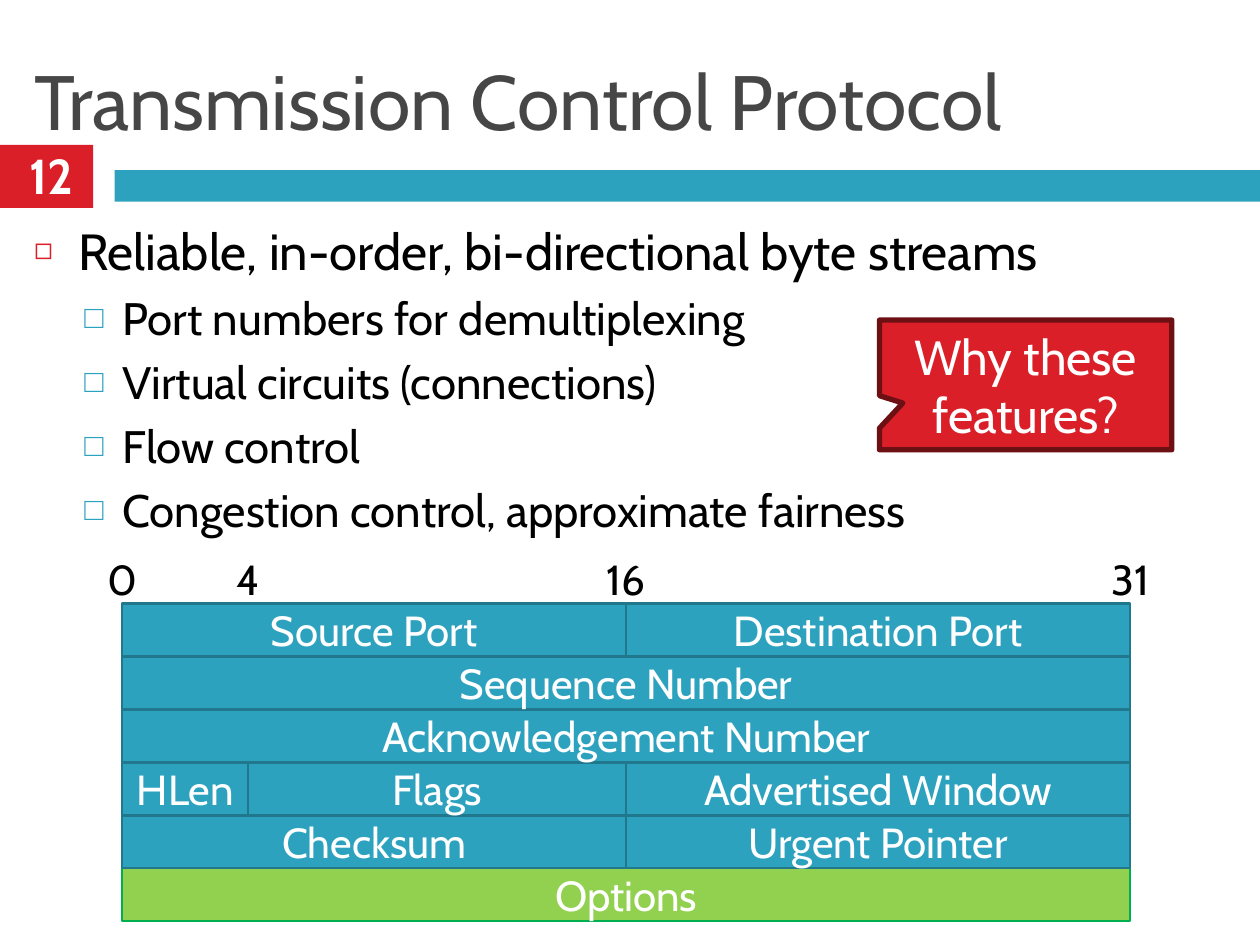
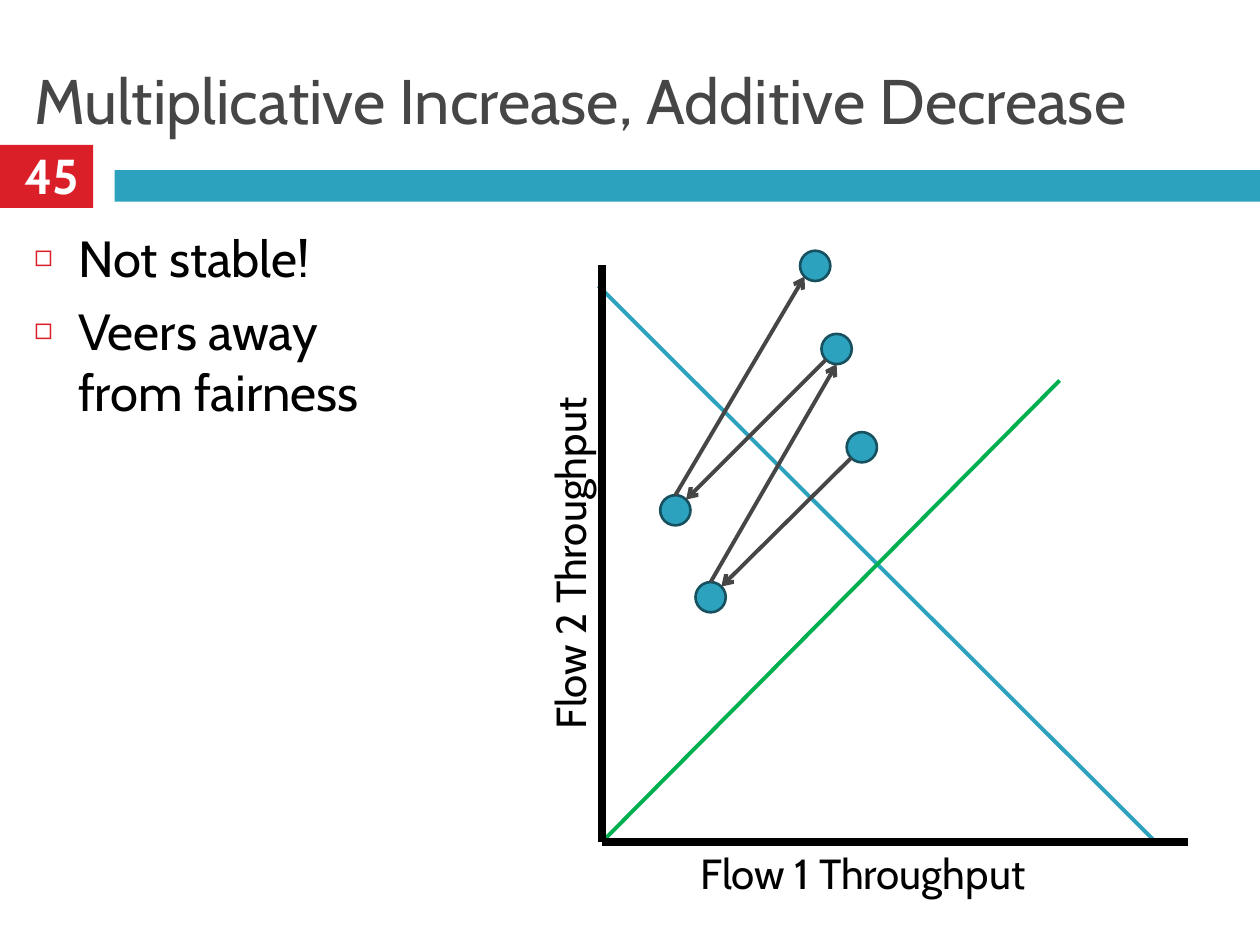
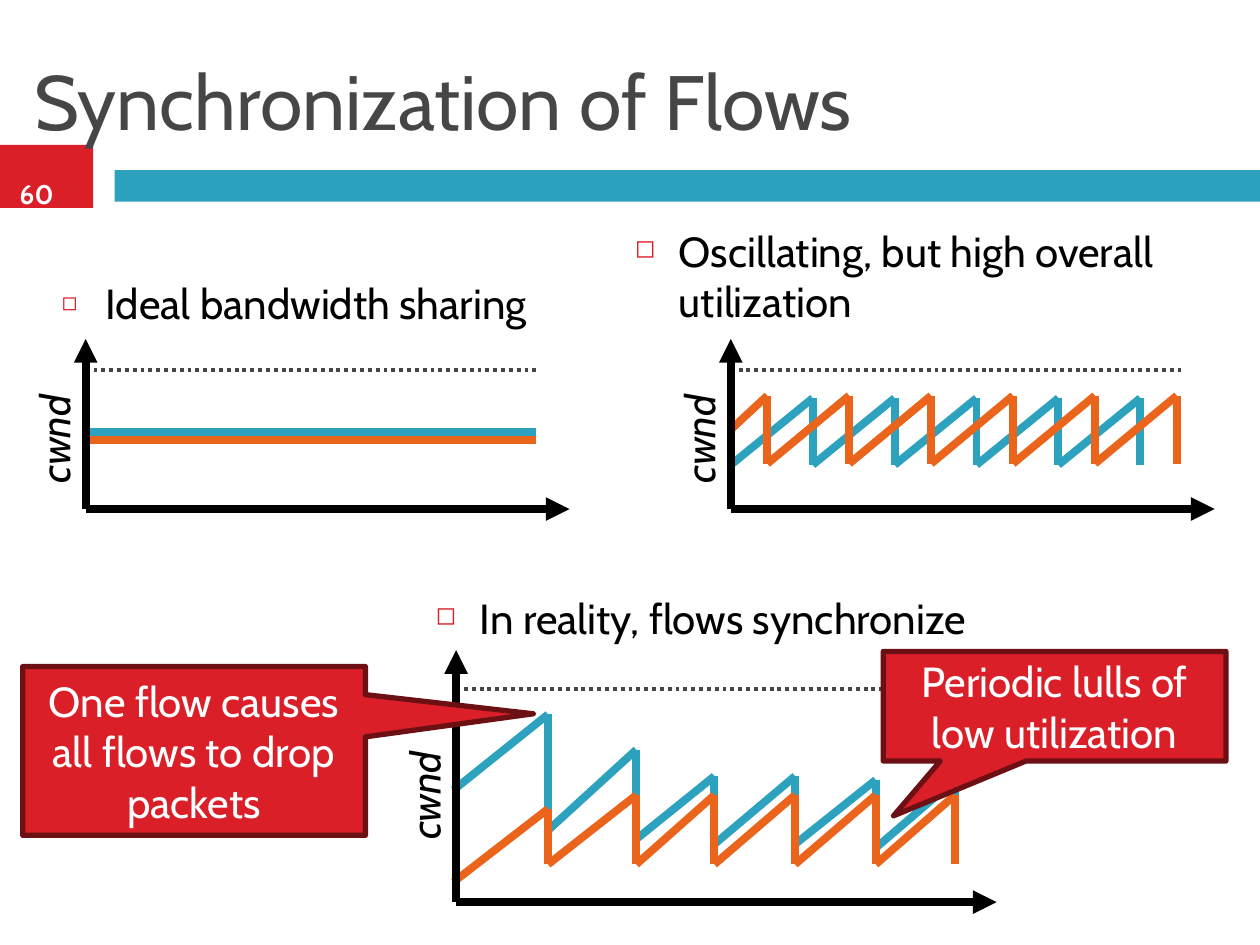
from dataclasses import dataclass
from itertools import pairwise
from math import cos, radians, sin
from typing import Any, NamedTuple

from lxml import etree
from pptx import Presentation
from pptx import util as u
from pptx.dml.color import RGBColor
from pptx.enum import dml, shapes, text
from pptx.oxml.ns import qn


@dataclass(frozen=True)
class Theme:
    font: str = "Cabin"
    black: RGBColor = RGBColor(0x00, 0x00, 0x00)
    white: RGBColor = RGBColor(0xFF, 0xFF, 0xFF)
    gray: RGBColor = RGBColor(0x46, 0x46, 0x46)
    red: RGBColor = RGBColor(0xDA, 0x1F, 0x28)
    dark_red: RGBColor = RGBColor(0x6D, 0x10, 0x14)
    blue: RGBColor = RGBColor(0x2D, 0xA2, 0xBF)
    field_edge: RGBColor = RGBColor(0x21, 0x78, 0x8D)
    dot_edge: RGBColor = RGBColor(0x17, 0x51, 0x60)
    lime: RGBColor = RGBColor(0x92, 0xD0, 0x50)
    green: RGBColor = RGBColor(0x00, 0xB0, 0x50)
    orange: RGBColor = RGBColor(0xEB, 0x64, 0x1B)
    title: float = 44
    long_title: float = 36
    number: float = 28
    small_number: float = 15.4
    bullet: float = 29
    sub_bullet: float = 26
    label: float = 24
    thin: float = 1.5
    medium: float = 2.25
    callout_edge: float = 3
    thick: float = 4.5


THEME = Theme()
CENTER = text.PP_ALIGN.CENTER
LEFT = text.PP_ALIGN.LEFT
MIDDLE = text.MSO_ANCHOR.MIDDLE
TOP = text.MSO_ANCHOR.TOP


class Point(NamedTuple):
    x: float
    y: float


class Box(NamedTuple):
    left: float
    top: float
    width: float
    height: float

    def lengths(self) -> list[u.Length]:
        return [u.Inches(side) for side in self]


class BulletLevel(NamedTuple):
    glyph: str
    color: RGBColor
    percent: int
    margin: float
    hanging: float
    space_before: float


class HeaderField(NamedTuple):
    name: str
    row: int
    first_bit: int
    end_bit: int
    fill: RGBColor = THEME.blue
    edge: RGBColor = THEME.field_edge


class Callout(NamedTuple):
    words: str
    box: Box
    tip: Point
    size: float = THEME.label


class Plot(NamedTuple):
    """A cwnd graph: its axes, its dotted capacity line and its label height."""
    origin: Point
    top: float
    right: float
    limit: float
    limit_right: float
    label_y: float


BULLETS = [BulletLevel("◻", THEME.red, 60, 0.35, 0.35, 7),
           BulletLevel("□", THEME.blue, 70, 0.7, 0.3, 5.5)]
TITLE_BOX = Box(0.17, 0.25, 9.67, 1.08)
NUMBER_BOX = Box(0, 1.07, 0.82, 0.64)


def assign(target: Any, **values: Any) -> None:
    for name, value in values.items():
        setattr(target, name, value)


def place(shape: Any, box: Box) -> None:
    assign(shape, **dict(zip(Box._fields, box.lengths())))


def write(paragraph: Any, words: str, size: float, color: RGBColor = THEME.black,
          align: Any = LEFT, **font: Any) -> None:
    paragraph.alignment = align
    run = paragraph.add_run()
    run.text = words
    assign(run.font, name=THEME.font, size=u.Pt(size), **font)
    run.font.color.rgb = color


def add_text(slide: Any, box: Box, words: str, size: float, wrap: bool = True,
             anchor: Any = TOP, rotation: float = 0, **style: Any) -> None:
    label = slide.shapes.add_textbox(*box.lengths())
    label.rotation = rotation
    assign(label.text_frame, word_wrap=wrap, vertical_anchor=anchor)
    write(label.text_frame.paragraphs[0], words, size, **style)


def write_bullets(shape: Any, items: list[tuple[int, str]], sizes: tuple[float, ...]) -> None:
    frame = shape.text_frame
    assign(frame, word_wrap=True, auto_size=text.MSO_AUTO_SIZE.NONE, vertical_anchor=TOP)
    for index, (level, words) in enumerate(items):
        paragraph = frame.add_paragraph() if index else frame.paragraphs[0]
        look = BULLETS[level]
        assign(paragraph, level=level, space_before=u.Pt(look.space_before))
        write(paragraph, words, sizes[level])
        props = paragraph._p.get_or_add_pPr()
        props.set("marL", str(u.Inches(look.margin)))
        props.set("indent", str(-u.Inches(look.hanging)))
        color = etree.SubElement(props, qn("a:buClr"))
        etree.SubElement(color, qn("a:srgbClr"), val=str(look.color))
        etree.SubElement(props, qn("a:buSzPct"), val=str(look.percent * 1000))
        etree.SubElement(props, qn("a:buChar"), char=look.glyph)


def add_block(slide: Any, kind: Any, box: Box, fill: RGBColor,
              edge: RGBColor | None = None, weight: float = THEME.thin) -> Any:
    block = slide.shapes.add_shape(kind, *box.lengths())
    block.shadow.inherit = False
    block.fill.solid()
    block.fill.fore_color.rgb = fill
    if edge is None:
        block.line.fill.background()
    else:
        block.line.color.rgb = edge
        block.line.width = u.Pt(weight)
    return block


def label_block(block: Any, words: str, size: float) -> None:
    assign(block.text_frame, word_wrap=True, vertical_anchor=MIDDLE)
    write(block.text_frame.paragraphs[0], words, size, THEME.white, CENTER)


def add_line(slide: Any, start: Point, end: Point, color: RGBColor, weight: float,
             arrow: str = "", dash: Any = None) -> None:
    ends = [u.Inches(length) for length in (*start, *end)]
    line = slide.shapes.add_connector(shapes.MSO_CONNECTOR.STRAIGHT, *ends)
    line.line.color.rgb = color
    assign(line.line, width=u.Pt(weight), dash_style=dash)
    if arrow:
        etree.SubElement(line.line._get_or_add_ln(), qn("a:tailEnd"), type=arrow)
    etree.SubElement(line._element.spPr, qn("a:effectLst"))


def add_callout(slide: Any, callout: Callout) -> None:
    block = add_block(slide, shapes.MSO_SHAPE.RECTANGULAR_CALLOUT, callout.box,
                      THEME.red, THEME.dark_red, THEME.callout_edge)
    block.adjustments[0], block.adjustments[1] = callout.tip
    label_block(block, callout.words, callout.size)


def add_bands(layout: Any, slide: Any) -> None:
    """Draw the red and blue bands and move them behind everything in the layout."""
    for box, color in ((Box(0, 1.15, 0.74, 0.5), THEME.red),
                       (Box(0.91, 1.35, 9.09, 0.25), THEME.blue)):
        band = add_block(slide, shapes.MSO_SHAPE.RECTANGLE, box, color)
        layout.shapes.element.insert(2, band.element)


def start_slide(deck: Any, title: str, number: str, body_box: Box,
                items: list[tuple[int, str]], title_size: float = THEME.title,
                number_box: Box = NUMBER_BOX, number_size: float = THEME.number,
                bullet_sizes: tuple[float, ...] = (THEME.bullet, THEME.sub_bullet)) -> Any:
    slide = deck.slides.add_slide(deck.slide_layouts[1])
    heading, body = slide.placeholders
    place(heading, TITLE_BOX)
    assign(heading.text_frame, vertical_anchor=MIDDLE, word_wrap=True,
           auto_size=text.MSO_AUTO_SIZE.NONE)
    write(heading.text_frame.paragraphs[0], title, title_size, THEME.gray)
    place(body, body_box)
    write_bullets(body, items, bullet_sizes)
    add_text(slide, number_box, number, number_size, anchor=MIDDLE,
             color=THEME.white, align=CENTER, bold=True)
    return slide


def build_header_slide(deck: Any) -> Any:
    slide = start_slide(
        deck, "Transmission Control Protocol", "12", Box(0.17, 1.69, 9.67, 2.73),
        [(0, "Reliable, in-order, bi-directional byte streams"),
         (1, "Port numbers for demultiplexing"),
         (1, "Virtual circuits (connections)"),
         (1, "Flow control"),
         (1, "Congestion control, approximate fairness")])
    left, top, bit_width, row_height = 0.97, 4.79, 0.25, 0.42
    fields = [
        HeaderField("Options", 5, 0, 32, THEME.lime, THEME.green),
        HeaderField("Checksum", 4, 0, 16),
        HeaderField("Urgent Pointer", 4, 16, 32),
        HeaderField("HLen", 3, 0, 4),
        HeaderField("Flags", 3, 4, 16),
        HeaderField("Advertised Window", 3, 16, 32),
        HeaderField("Acknowledgement Number", 2, 0, 32),
        HeaderField("Sequence Number", 1, 0, 32),
        HeaderField("Source Port", 0, 0, 16),
        HeaderField("Destination Port", 0, 16, 32),
    ]
    for field in fields:
        box = Box(left + field.first_bit * bit_width, top + field.row * row_height,
                  (field.end_bit - field.first_bit) * bit_width, row_height)
        block = add_block(slide, shapes.MSO_SHAPE.RECTANGLE, box, field.fill, field.edge)
        label_block(block, field.name, THEME.label)
    mark_width = 0.65
    for mark, edge_bit in (("0", 0), ("4", 4), ("16", 16), ("31", 32)):
        mark_left = left + edge_bit * bit_width - mark_width / 2
        add_text(slide, Box(mark_left, 4.26, mark_width, 0.66), mark, THEME.label,
                 anchor=MIDDLE, align=CENTER)
    add_callout(slide, Callout("Why these features?", Box(6.98, 2.54, 2.32, 1.03),
                               Point(-0.42, 0.14), THEME.number))
    return slide


def rim(center: Point, degrees: float, radius: float = 0.12) -> Point:
    """Point on a dot's edge, counted anticlockwise from the right."""
    angle = radians(degrees)
    return Point(center.x + radius * cos(angle), center.y - radius * sin(angle))


def build_fairness_slide(deck: Any) -> None:
    slide = start_slide(
        deck, "Multiplicative Increase, Additive Decrease", "45", Box(0.17, 1.75, 3.34, 5.58),
        [(0, "Not stable!"), (0, "Veers away from fairness")], title_size=THEME.long_title)
    for words, box, rotation in (("Flow 1 Throughput", Box(5.46, 6.68, 3, 0.5), 0),
                                 ("Flow 2 Throughput", Box(3.02, 4.14, 3, 0.5), 270)):
        add_text(slide, box, words, THEME.label, wrap=False, rotation=rotation)

    origin = Point(4.78, 6.68)
    add_line(slide, Point(4.75, 2.27), Point(9.17, 6.68), THEME.blue, THEME.medium)
    add_line(slide, origin, Point(8.41, 3.02), THEME.green, THEME.medium)
    for axis_end in (Point(9.43, origin.y), Point(origin.x, 2.1)):
        add_line(slide, origin, axis_end, THEME.black, THEME.thick)

    states = [Point(6.84, 3.55), Point(5.64, 4.74), Point(6.64, 2.77),
              Point(5.36, 4.05), Point(6.47, 2.11)]
    for state in states:
        box = Box(state.x - 0.12, state.y - 0.12, 0.24, 0.24)
        add_block(slide, shapes.MSO_SHAPE.OVAL, box, THEME.blue, THEME.dot_edge)
    rim_angles = [(225, 45), (90, 270), (225, 45), (90, 225)]
    for (before, after), (leave, arrive) in zip(pairwise(states), rim_angles):
        add_line(slide, rim(before, leave), rim(after, arrive), THEME.gray,
                 THEME.medium, "arrow")


def add_axes(slide: Any, plot: Plot) -> None:
    origin = plot.origin
    add_line(slide, Point(origin.x, plot.limit), Point(plot.limit_right, plot.limit),
             THEME.gray, THEME.medium, dash=dml.MSO_LINE.ROUND_DOT)
    for axis_end in (Point(plot.right, origin.y), Point(origin.x, plot.top)):
        add_line(slide, origin, axis_end, THEME.black, THEME.thick, "triangle")
    width, height = 0.99, 0.51
    box = Box(origin.x - 0.25 - width / 2, plot.label_y - height / 2, width, height)
    add_text(slide, box, "cwnd", THEME.label, wrap=False, rotation=270, italic=True)


def add_sawtooth(slide: Any, start: Point, teeth: list[tuple[float, float, float]],
                 color: RGBColor) -> None:
    """Climb to each tooth's peak, then drop; a tooth is x, peak and low."""
    corners = [start]
    for x, peak, low in teeth:
        corners += [Point(x, peak), Point(x, low)]
    for begin, end in pairwise(corners):
        add_line(slide, begin, end, color, THEME.thick)


def build_synchronization_slide(deck: Any) -> None:
    slide = start_slide(
        deck, "Synchronization of Flows", "60", Box(0.39, 2.15, 4.16, 0.55),
        [(0, "Ideal bandwidth sharing")], number_box=Box(0, 1.37, 0.58, 0.33),
        number_size=THEME.small_number, bullet_sizes=(THEME.label,))
    for words, box in (
            ("Oscillating, but high overall utilization", Box(4.94, 1.74, 4.91, 1.01)),
            ("In reality, flows synchronize", Box(3.36, 4.65, 4.91, 0.51))):
        write_bullets(slide.shapes.add_textbox(*box.lengths()), [(0, words)], (THEME.label,))

    ideal = Plot(Point(0.68, 4.04), 2.69, 4.52, 2.94, 4.25, 3.44)
    oscillating = Plot(Point(5.8, 4.04), 2.69, 9.64, 2.94, 9.37, 3.44)
    real = Plot(Point(3.62, 7.16), 5.16, 7.91, 5.47, 7.91, 6.27)

    for y, color in ((3.43, THEME.blue), (3.49, THEME.orange)):
        add_line(slide, Point(ideal.origin.x, y), Point(ideal.limit_right, y),
                 color, THEME.thick)

    period = 0.65
    add_sawtooth(slide, Point(5.8, 3.69),
                 [(6.45 + i * period, 3.16, 3.69) for i in range(5)], THEME.blue)
    add_sawtooth(slide, Point(5.81, 3.4),
                 [(6.09 + i * period, 3.14, 3.68) for i in range(6)], THEME.orange)

    drops = [4.35, 5.05, 5.67, 6.31, 6.95, 7.58]
    blue_peaks = [5.67, 5.95, 6.16, 6.16, 6.19, 6.19]
    blue_lows = [6.59, 6.66, 6.7, 6.7, 6.73, 6.72]
    orange_peaks = [6.42] + [6.31] * 5
    orange_lows = [6.86] * 6
    add_sawtooth(slide, Point(3.6, 6.27), list(zip(drops, blue_peaks, blue_lows)), THEME.blue)
    add_sawtooth(slide, Point(3.6, 7), list(zip(drops, orange_peaks, orange_lows)),
                 THEME.orange)

    for plot in (ideal, oscillating, real):
        add_axes(slide, plot)
    for callout in (
            Callout("One flow causes all flows to drop packets",
                    Box(0.18, 5.29, 2.72, 1.34), Point(0.99, -0.22)),
            Callout("Periodic lulls of low utilization",
                    Box(7.01, 5.17, 2.72, 0.87), Point(-0.47, 1))):
        add_callout(slide, callout)


def main() -> None:
    deck = Presentation()
    assign(deck, slide_width=u.Inches(10), slide_height=u.Inches(7.5))
    first = build_header_slide(deck)
    add_bands(first.slide_layout, first)
    build_fairness_slide(deck)
    build_synchronization_slide(deck)
    deck.save("out.pptx")


if __name__ == "__main__":
    main()
